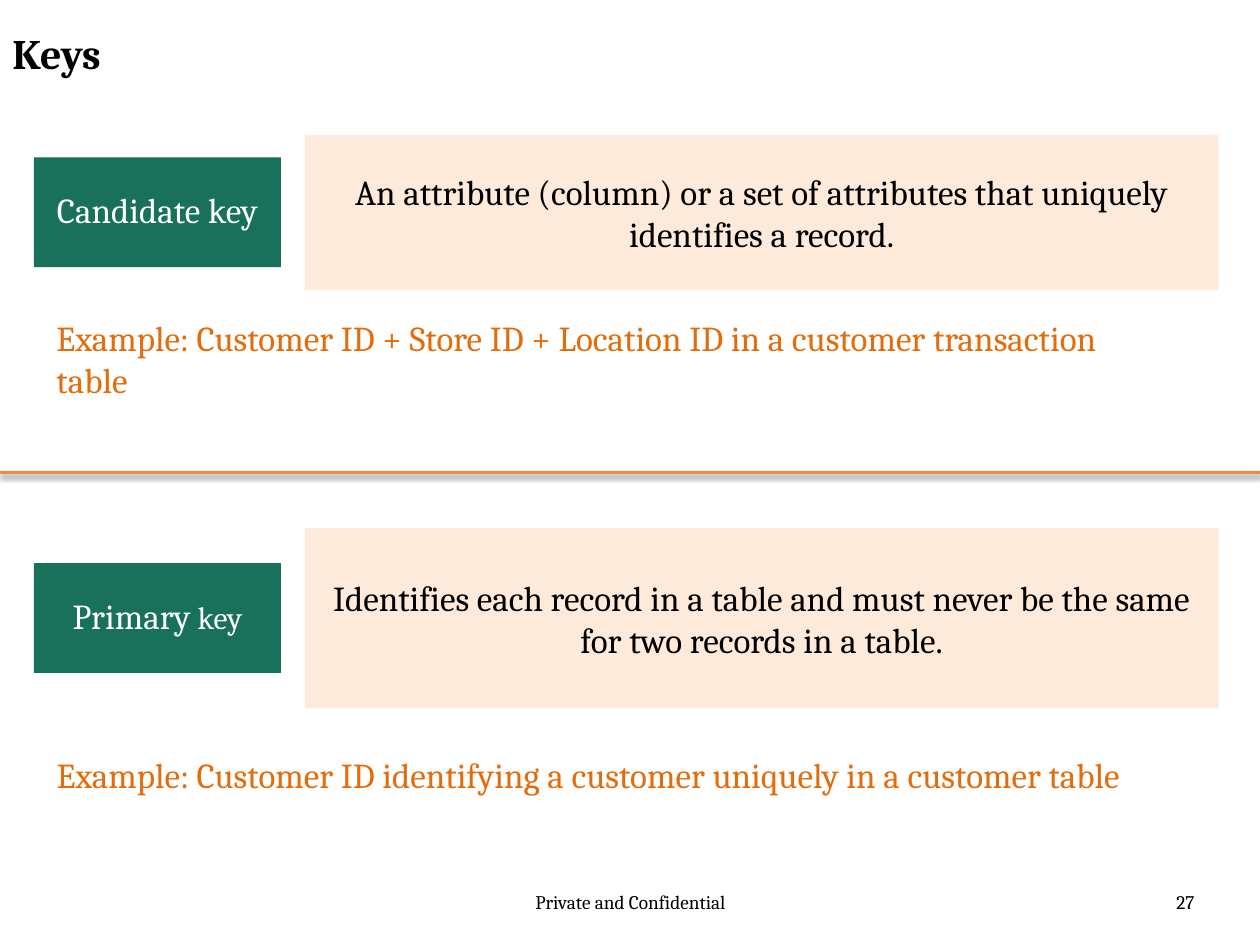
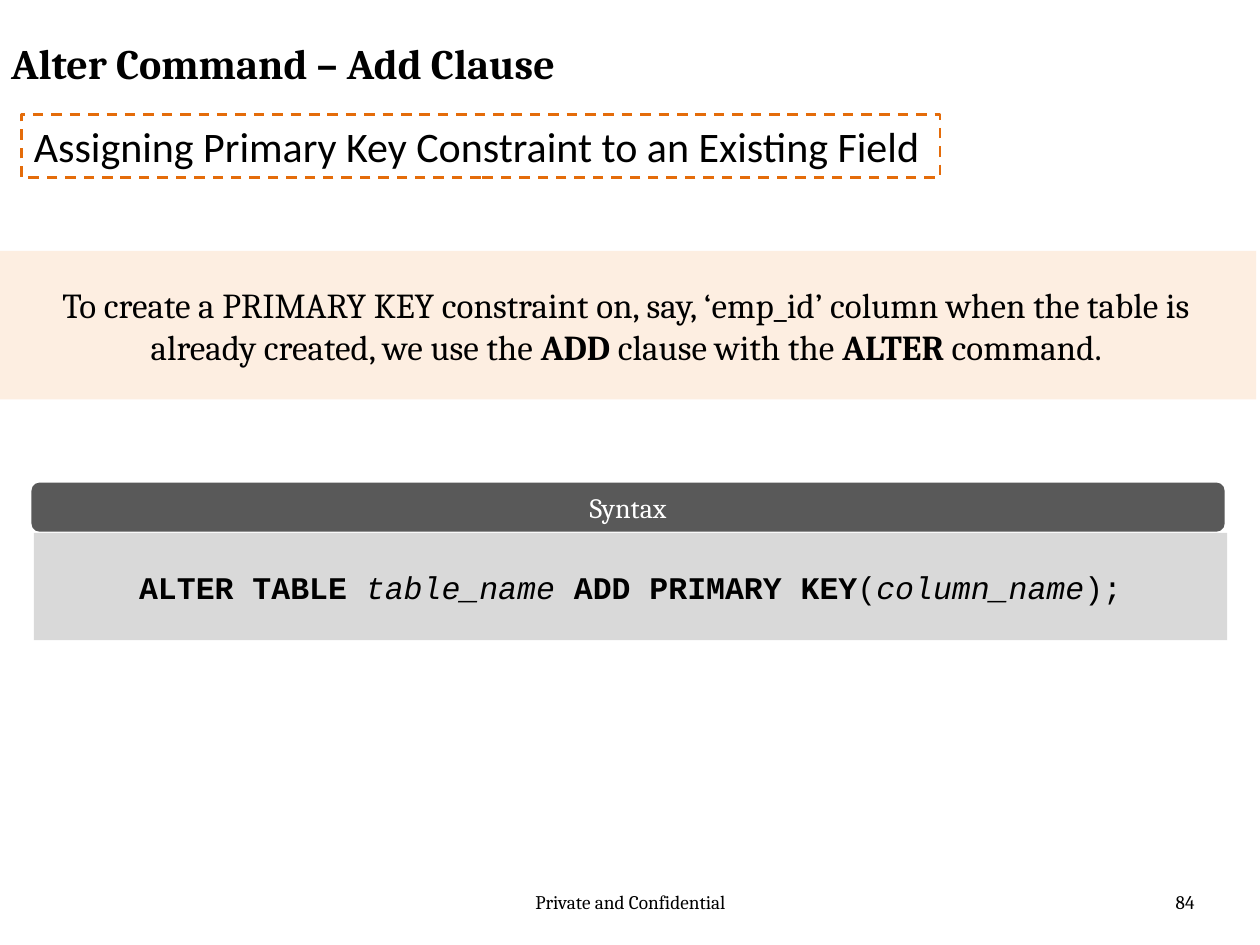
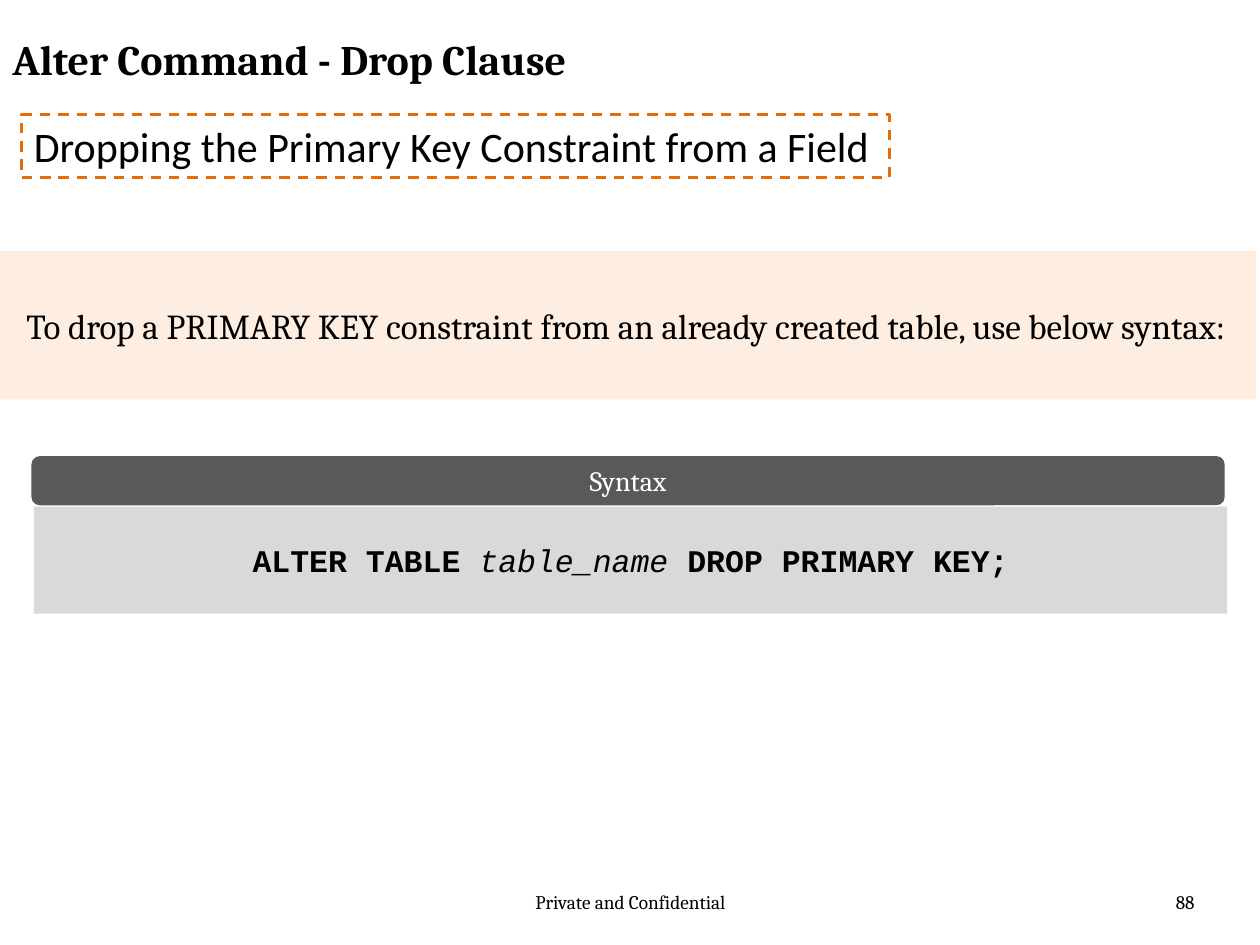
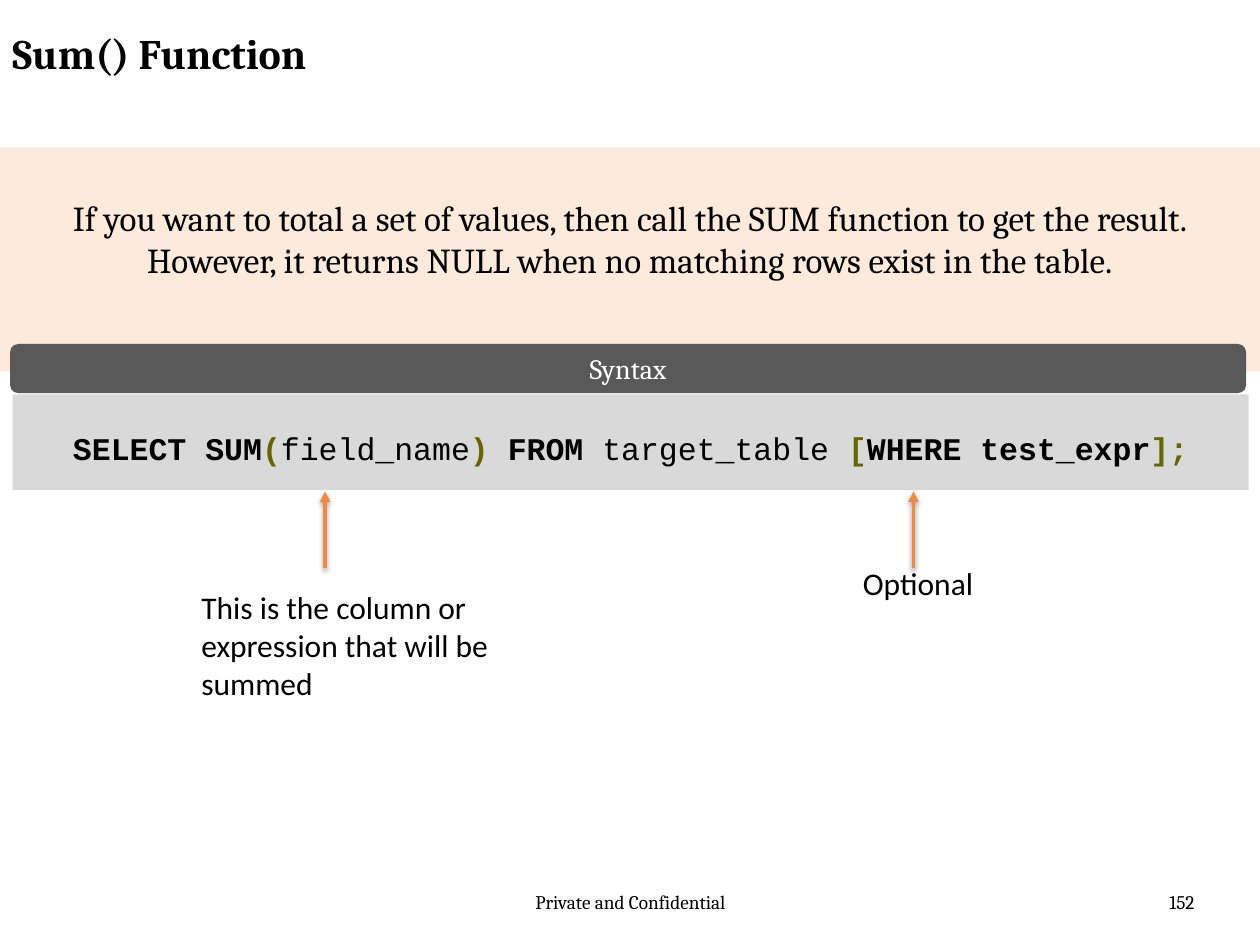
import pptx
import pptx.dml.color
import pptx.enum.dml
import pptx.enum.shapes
import pptx.enum.text
import pptx.oxml
import pptx.oxml.ns
import pptx.util
from lxml import etree

Inches = pptx.util.Inches
Pt = pptx.util.Pt
ALIGN = pptx.enum.text.PP_ALIGN
ANCHOR = pptx.enum.text.MSO_ANCHOR
SHAPE = pptx.enum.shapes.MSO_SHAPE

BLACK, WHITE = "000000", "FFFFFF"
GREEN, PEACH = "19715C", "FDEADA"
ORANGE, LINE_ORANGE = "E46C0A", "EF8A3F"
DARK_GREY, LIGHT_GREY, OLIVE = "595959", "D9D9D9", "666600"
SERIF, SANS, MONO = "Cambria", "Calibri", "Courier New"


def rgb(color):
    return pptx.dml.color.RGBColor.from_string(color)


def add_child(parent, tag, **attributes):
    child = etree.SubElement(parent, pptx.oxml.ns.qn(tag))
    for name, value in attributes.items():
        child.set(name, str(value))
    return child


def write(shape, runs, size, font=SERIF, color=BLACK, bold=None,
          align=ALIGN.LEFT, anchor=ANCHOR.TOP, wrap=True, insets=(0.1, 0.05)):
    """Fill a shape with one paragraph; runs is a string or (text, font settings) pairs."""
    frame = shape.text_frame
    frame.word_wrap = wrap
    frame.auto_size = pptx.enum.text.MSO_AUTO_SIZE.NONE
    frame.vertical_anchor = anchor
    frame.margin_left = frame.margin_right = Inches(insets[0])
    frame.margin_top = frame.margin_bottom = Inches(insets[1])
    paragraph = frame.paragraphs[0]
    paragraph.alignment = align
    paragraph.font.size = Pt(size)
    paragraph.font.name = font
    paragraph.font.bold = bold
    paragraph.font.color.rgb = rgb(color)
    for text, settings in [(runs, {})] if isinstance(runs, str) else runs:
        run = paragraph.add_run()
        run.text = text
        if "size" in settings:
            run.font.size = Pt(settings["size"])
        if "color" in settings:
            run.font.color.rgb = rgb(settings["color"])
        run.font.bold = settings.get("bold")
        run.font.italic = settings.get("italic")
    return paragraph


def add_text(slide, box, runs, size, **style):
    shape = slide.shapes.add_textbox(*map(Inches, box))
    write(shape, runs, size, **style)


def add_block(shapes, box, fill, kind=SHAPE.RECTANGLE, alpha=None):
    shape = shapes.add_shape(kind, *map(Inches, box))
    shape.shadow.inherit = False
    shape.line.fill.background()
    if fill is None:
        shape.fill.background()
        return shape
    shape.fill.solid()
    shape.fill.fore_color.rgb = rgb(fill)
    if alpha:
        color = shape.fill._xPr.find(".//" + pptx.oxml.ns.qn("a:srgbClr"))
        add_child(color, "a:alpha", val=alpha * 1000)
    return shape


def add_line(slide, start, end, arrow=False):
    """Draw an orange line with a soft shadow below it."""
    line = slide.shapes.add_connector(pptx.enum.shapes.MSO_CONNECTOR.STRAIGHT,
                                      *map(Inches, start + end))
    line.line.color.rgb = rgb(LINE_ORANGE)
    line.line.width = Pt(2)
    if arrow:
        add_child(line.line._get_or_add_ln(), "a:tailEnd", type="triangle")
    effects = add_child(line._element.spPr, "a:effectLst")
    shadow = add_child(effects, "a:outerShdw", blurRad=Pt(3.1), dist=Pt(1.6),
                       dir=5400000, rotWithShape=0)
    color = add_child(shadow, "a:srgbClr", val=BLACK)
    add_child(color, "a:alpha", val=38000)


def start_slide(presentation, title, title_box, number):
    slide = presentation.slides.add_slide(presentation.slide_layouts[6])
    add_text(slide, (3.42, 7.02, 3.17, 0.4), "Private and Confidential", 11, align=ALIGN.CENTER)
    add_text(slide, (7.25, 7.02, 2.33, 0.4), str(number), 11, align=ALIGN.RIGHT)
    add_text(slide, title_box, title, 24, bold=True)
    return slide


def add_key_definition(slide, middle, height, name, definition):
    """Place a green key name beside its definition, both centred on one height."""
    style = dict(align=ALIGN.CENTER, anchor=ANCHOR.MIDDLE, insets=(0.12, 0.08))
    label = add_block(slide.shapes, (0.27, middle - 0.435, 1.96, 0.87), GREEN)
    write(label, name, 20, color=WHITE, **style).line_spacing = 0.9
    panel = add_block(slide.shapes, (2.42, middle - height / 2, 7.25, height), PEACH)
    write(panel, definition, 20, **style)


def add_subtitle(slide, width, text):
    frame = add_block(slide.shapes, (0.17, 0.91, width, 0.5), None)
    frame.line.color.rgb = rgb(ORANGE)
    frame.line.width = Pt(1.5)
    frame.line.dash_style = pptx.enum.dml.MSO_LINE.DASH
    write(frame, text, 24, font=SANS, wrap=False)


def add_syntax(slide, left, top, width, body_height, code):
    """Group a dark heading with the code panel below it."""
    shapes = slide.shapes.add_group_shape().shapes
    style = dict(align=ALIGN.CENTER, anchor=ANCHOR.MIDDLE)
    heading = add_block(shapes, (left, top, width, 0.39), DARK_GREY, SHAPE.ROUNDED_RECTANGLE)
    write(heading, "Syntax", 16, color=WHITE, **style)
    body = add_block(shapes, (left + 0.02, top + 0.4, width, body_height),
                     LIGHT_GREY, SHAPE.ROUNDED_RECTANGLE)
    body.adjustments[0] = 0
    return write(body, code, 18, font=MONO, **style)


def build_keys(presentation):
    slide = start_slide(presentation, "Keys", (0, 0.17, 9, 0.83), 27)
    add_key_definition(slide, 1.685, 1.23, "Candidate key",
                       "An attribute (column) or a set of attributes that uniquely "
                       "identifies a record.")
    add_line(slide, (0, 3.75), (10, 3.75))
    add_key_definition(slide, 4.905, 1.43, [("Primary", {}), (" key", {"size": 18})],
                       "Identifies each record in a table and must never be the same "
                       "for two records in a table.")
    add_text(slide, (0.35, 2.46, 8.9, 0.77),
             "Example: Customer ID + Store ID + Location ID in a customer transaction table",
             20, color=ORANGE)
    add_text(slide, (0.35, 5.93, 8.65, 0.77),
             "Example: Customer ID identifying a customer uniquely in a customer table",
             20, color=ORANGE)


def build_alter(presentation, title, title_box, number, subtitle, subtitle_width,
                message, syntax_top, code):
    slide = start_slide(presentation, title, title_box, number)
    add_subtitle(slide, subtitle_width, subtitle)
    band = add_block(slide.shapes, (-0.03, 1.99, 10, 1.18), PEACH, alpha=79)
    write(band, message, 20, align=ALIGN.CENTER, anchor=ANCHOR.MIDDLE)
    add_syntax(slide, 0.25, syntax_top, 9.47, 0.85, code)


def build_sum(presentation):
    slide = start_slide(presentation, "Sum() Function", (0, 0.17, 7.59, 0.62), 152)
    band = add_block(slide.shapes, (0, 1.17, 10, 1.78), PEACH)
    write(band, "If you want to total a set of values, then call the SUM function to get "
                "the result. However, it returns NULL when no matching rows exist in the table.",
          20, align=ALIGN.CENTER, insets=(0.1, 0.39))
    bold, mark = {"bold": True}, {"bold": True, "color": OLIVE}
    code = add_syntax(slide, 0.08, 2.73, 9.81, 0.76, [
        ("SELECT SUM", bold), ("(", mark), ("field_name", {}), (") ", mark),
        ("FROM ", bold), ("target_table ", {}), ("[", mark),
        ("WHERE test_expr", bold), ("];", mark)])
    code.line_spacing = 1.3
    properties = code._p.get_or_add_pPr()
    properties.set("marL", str(Inches(0.15)))
    properties.set("indent", str(Inches(-0.15)))
    add_text(slide, (1.5, 4.62, 3.17, 1.01),
             "This is the column or expression that will be summed", 18, font=SANS)
    add_text(slide, (6.75, 4.43, 1.09, 0.4), "Optional", 18, font=SANS, wrap=False)
    for x in (2.58, 7.25):
        add_line(slide, (x, 4.51), (x, 3.9), arrow=True)


def main():
    presentation = pptx.Presentation()
    presentation.slide_width = Inches(10)
    presentation.slide_height = Inches(7.5)
    bold, italic = {"bold": True}, {"italic": True}
    build_keys(presentation)
    build_alter(
        presentation, "Alter Command – Add Clause", (-0.01, 0.25, 9, 0.51), 84,
        "Assigning Primary Key Constraint to an Existing Field", 7.29,
        [("To create a PRIMARY KEY constraint on, say, ‘emp_id’ column when the table is "
          "already created, we use the ", {}),
         ("ADD", bold), (" clause with the ", {}), ("ALTER", bold), (" command.", {})],
        3.83,
        [("ALTER TABLE ", bold), ("table_name ", italic), ("ADD PRIMARY KEY", bold),
         ("(", {}), ("column_name", italic), (");", {})])
    build_alter(
        presentation, "Alter Command - Drop Clause", (0, 0.22, 7.59, 0.62), 88,
        "Dropping the Primary Key Constraint from a Field", 6.89,
        "To drop a PRIMARY KEY constraint from an already created table, use below syntax:",
        3.62,
        [("ALTER TABLE ", bold), ("table_name ", italic), ("DROP PRIMARY KEY;", bold)])
    build_sum(presentation)
    presentation.save("out.pptx")


if __name__ == "__main__":
    main()
